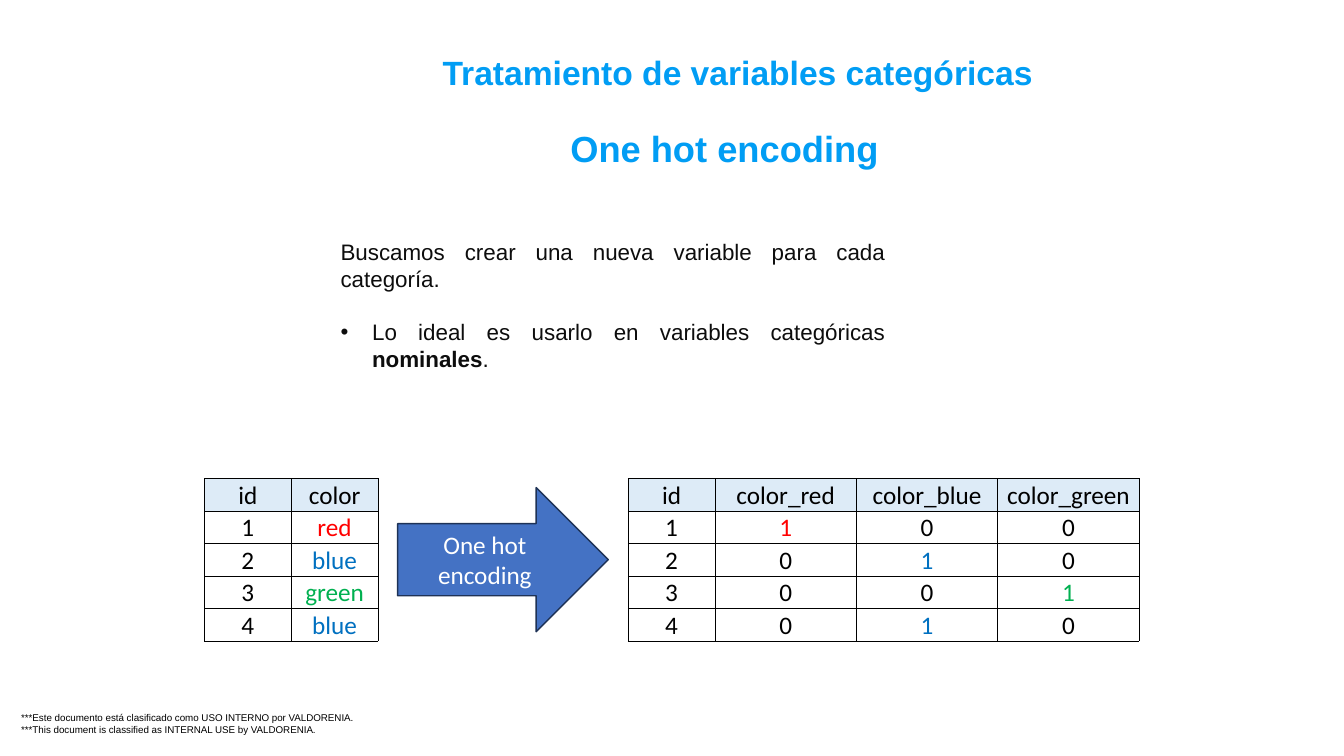
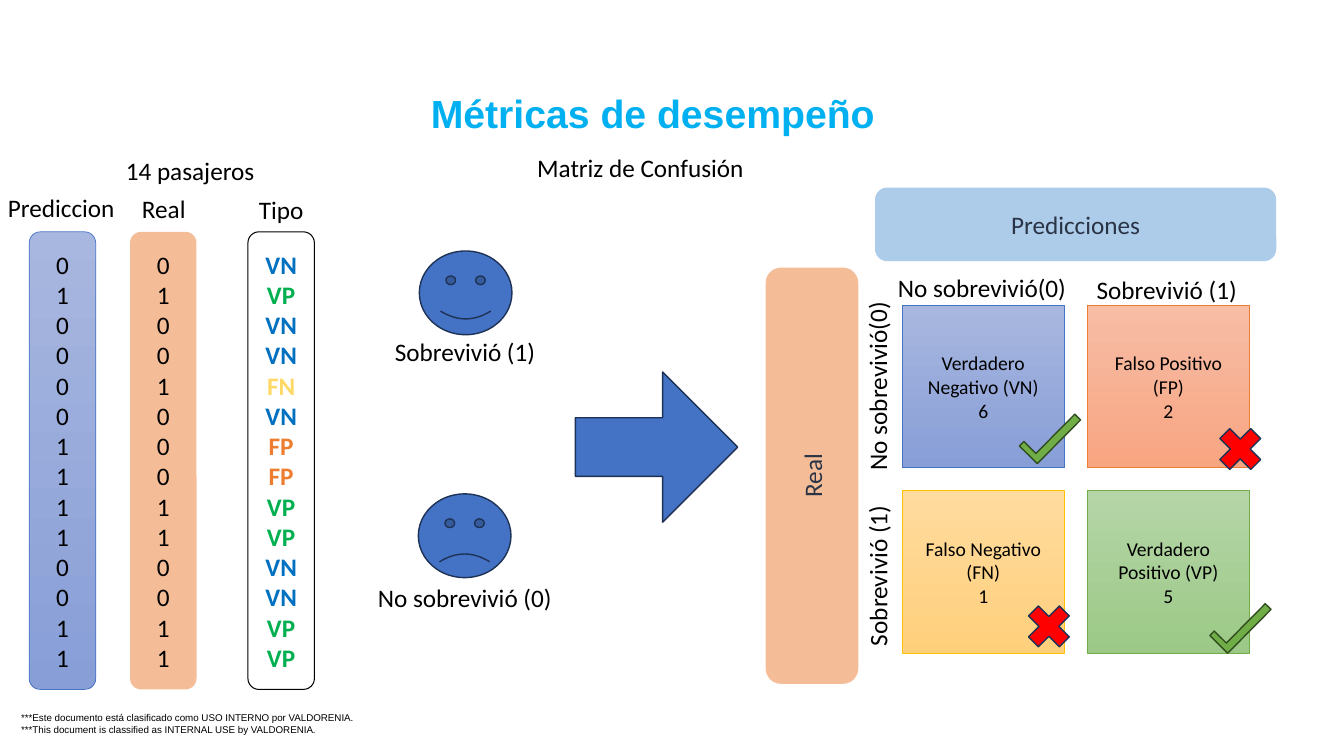
from dataclasses import dataclass

from lxml.etree import SubElement
from pptx import Presentation
from pptx.dml.color import RGBColor
from pptx.enum.shapes import MSO_SHAPE
from pptx.enum.text import MSO_ANCHOR, MSO_AUTO_SIZE, PP_ALIGN
from pptx.oxml.ns import qn
from pptx.util import Pt


@dataclass(frozen=True)
class Theme:
    heading_font: str = "Arial"
    body_font: str = "Calibri"
    footer_size: float = 7
    cell_size: float = 14
    text_size: float = 16
    body_size: float = 18
    title_size: float = 24
    subtitle_size: float = 25.9
    metrics_title_size: float = 28
    black: str = "000000"
    white: str = "FFFFFF"
    ink: str = "0D0D0D"
    band_ink: str = "2A3446"
    title: str = "019DF4"
    metrics_title: str = "00B0F0"
    header: str = "DDEBF7"
    accent: str = "4472C4"
    outline: str = "1E3256"
    light_blue: str = "5B9BD5"
    orange: str = "ED7D31"
    red: str = "FF0000"
    blue: str = "0070C0"
    green: str = "00B050"
    yellow: str = "FFD966"
    gold: str = "FFC000"
    leaf: str = "70AD47"
    leaf_outline: str = "314C1F"
    blue_fade: tuple = ("A8B7DF", "889ED7")
    green_fade: tuple = ("B5D5A7", "9CC987")
    yellow_fade: tuple = ("FFDB9E", "FFD07C")
    orange_fade: tuple = ("F7BDA5", "F8A582")


T = Theme()

FOOTER = ("***Este documento está clasificado como USO INTERNO por VALDORENIA.\n"
          "***This document is classified as INTERNAL USE by VALDORENIA.")

COLORS = {"red": T.red, "blue": T.blue, "green": T.green}
ITEMS = ["red", "blue", "green", "blue"]
INTRO = "Buscamos crear una nueva variable para cada categoría."
ADVICE = [("Lo ideal es usarlo en variables categóricas ", False),
          ("nominales", True), (".", False)]

PREDICTED = [0, 1, 0, 0, 0, 0, 1, 1, 1, 1, 0, 0, 1, 1]
ACTUAL = [0, 1, 0, 0, 1, 0, 0, 0, 1, 1, 0, 0, 1, 1]
OUTCOMES = {(0, 0): ("VN", T.blue), (1, 1): ("VP", T.green),
            (0, 1): ("FN", T.yellow), (1, 0): ("FP", T.orange)}

MATRIX = [
    (0, 0, "Verdadero Negativo (VN)\n6", T.blue_fade, T.accent),
    (1, 1, "Verdadero Positivo (VP)\n5", T.green_fade, T.leaf),
    (0, 1, "Falso Negativo (FN)\n1", T.yellow_fade, T.gold),
    (1, 0, "Falso Positivo (FP)\n2", T.orange_fade, T.orange),
]
MATRIX_LEFT, MATRIX_TOP, MATRIX_STEP, MATRIX_SIDE = 644.4, 218.2, 132.2, 116
BANDS = [("Predicciones", (625, 134, 286.6, 52.6), T.light_blue, 0),
         ("Real", (431.3, 306.7, 297.4, 66.2), T.orange, 270)]
CHECKS = [(728, 300.2), (864, 435.6)]
CHECK_OUTLINE = [(0, 0), (4.5, 0), (4.5, 12.2), (44, 12.2), (44, 18), (0, 18)]
CROSSES = [(728, 426.2), (864.7, 299.5)]

LABELS = [
    ("Matriz de Confusión", 376.6, 105, 163.4, 0),
    ("No sobrevivió(0)", 634.3, 190.8, 136, 0),
    ("Sobrevivió (1)", 776.2, 192.2, 116, 0),
    ("No sobrevivió(0)", 558.7, 260.6, 136, 270),
    ("Sobrevivió (1)", 568.8, 396, 116, 270),
    ("Sobrevivió (1)", 275, 236.9, 116, 0),
    ("No sobrevivió (0)", 262.8, 412.6, 140.4, 0),
    ("Prediccion", -1.4, 133.9, 91.4, 0),
    ("Real", 94.3, 134.6, 46, 0),
    ("14 pasajeros", 82.8, 107.3, 107.3, 0),
    ("Tipo", 177.8, 135.4, 46.8, 0),
]
FACES = [(299.5, 179.3, 0.05), (298.8, 352.8, -0.05)]


def rgb(value):
    return RGBColor.from_string(value)


def points(*lengths):
    return [Pt(length) for length in lengths]


def style(run, size, color, font=T.body_font, bold=False):
    run.font.name = font
    run.font.size = Pt(size)
    run.font.bold = bold
    run.font.color.rgb = rgb(color)


def write(frame, text, size, color, font=T.body_font, bold=False,
          align=PP_ALIGN.LEFT, anchor=MSO_ANCHOR.TOP):
    frame.text = text
    frame.vertical_anchor = anchor
    for paragraph in frame.paragraphs:
        paragraph.alignment = align
        for run in paragraph.runs:
            style(run, size, color, font, bold)


def write_centred(shape, text, size=T.body_size, color=T.black, bold=False):
    write(shape.text_frame, text, size, color, bold=bold,
          align=PP_ALIGN.CENTER, anchor=MSO_ANCHOR.MIDDLE)


def add_text(slide, box, text, size, color, wrap=True, **options):
    words = slide.shapes.add_textbox(*points(*box))
    words.text_frame.word_wrap = wrap
    write(words.text_frame, text, size, color, **options)
    return words


def paint(shape, fill=None, line=None, width=1, alpha=None):
    shape.shadow.inherit = False
    if fill is None:
        shape.fill.background()
    elif isinstance(fill, tuple):
        shape.fill.gradient()
        shape.fill.gradient_angle = 270
        for stop, color in zip(shape.fill.gradient_stops, fill):
            stop.color.rgb = rgb(color)
    else:
        shape.fill.solid()
        shape.fill.fore_color.rgb = rgb(fill)
    if alpha:
        solid = shape.element.xpath("./p:spPr/a:solidFill/a:srgbClr")[0]
        SubElement(solid, qn("a:alpha")).set("val", str(alpha * 1000))
    if line:
        shape.line.color.rgb = rgb(line)
        shape.line.width = Pt(width)
    else:
        shape.line.fill.background()


def add_shape(slide, kind, box, *adjust, **look):
    shape = slide.shapes.add_shape(kind, *points(*box))
    for index, value in enumerate(adjust):
        shape.adjustments[index] = value
    paint(shape, **look)
    return shape


def add_check(slide, left, top):
    corners = [points(*corner) for corner in CHECK_OUTLINE]
    builder = slide.shapes.build_freeform(*corners[0])
    builder.add_line_segments(corners[1:], close=True)
    check = builder.convert_to_shape(*points(left, top))
    check.rotation = 314.7
    paint(check, T.leaf, T.leaf_outline)


def add_borders(cell):
    properties = cell._tc.get_or_add_tcPr()
    for index, side in enumerate(("lnL", "lnR", "lnT", "lnB")):
        border = SubElement(properties, qn(f"a:{side}"), w=str(Pt(0.5)))
        solid = SubElement(border, qn("a:solidFill"))
        SubElement(solid, qn("a:srgbClr"), val=T.black)
        properties.insert(index, border)


def add_grid(slide, left, top, widths, rows):
    height = 23.2
    box = points(left, top, sum(widths), height * len(rows))
    table = slide.shapes.add_table(len(rows), len(widths), *box).table
    table.first_row = table.horz_banding = False
    for column, width in zip(table.columns, widths):
        column.width = Pt(width)
    for r, row in enumerate(rows):
        table.rows[r].height = Pt(height)
        for c, (text, color) in enumerate(row):
            cell = table.cell(r, c)
            cell.margin_left = cell.margin_right = cell.margin_top = Pt(0.6)
            cell.margin_bottom = 0
            if r == 0:
                cell.fill.solid()
                cell.fill.fore_color.rgb = rgb(T.header)
            else:
                cell.fill.background()
            add_borders(cell)
            write(cell.text_frame, text, T.body_size, color, align=PP_ALIGN.CENTER)
            cell.vertical_anchor = MSO_ANCHOR.BOTTOM


def add_titled_slide(deck, title, box, size, color, **options):
    slide = deck.slides.add_slide(deck.slide_layouts[5])
    heading = slide.shapes.title
    heading.left, heading.top, heading.width, heading.height = points(*box)
    heading.text_frame.auto_size = MSO_AUTO_SIZE.NONE
    write(heading.text_frame, title, size, color, font=T.heading_font, bold=True, **options)
    return slide


def add_master_footer(deck, slide):
    footer = add_text(slide, (15.1, 508.3, 240.5, 16.6), FOOTER, T.footer_size, T.black,
                      font=T.heading_font)
    frame = footer.text_frame
    frame.margin_left = frame.margin_right = frame.margin_top = frame.margin_bottom = 0
    footer.element.nvSpPr.cNvPr.set("id", "20")
    deck.slide_master.shapes.element.append(footer.element)


def add_advice(frame):
    advice = frame.add_paragraph()
    properties = advice._p.get_or_add_pPr()
    properties.set("marL", str(Pt(22.5)))
    properties.set("indent", str(-Pt(22.5)))
    SubElement(properties, qn("a:buFont"), typeface=T.heading_font)
    SubElement(properties, qn("a:buChar"), char="•")
    advice.alignment = PP_ALIGN.JUSTIFY
    advice.space_before = Pt(19)
    for text, bold in ADVICE:
        run = advice.add_run()
        run.text = text
        style(run, T.text_size, T.ink, T.heading_font, bold)


def build_encoding(deck):
    slide = add_titled_slide(deck, "Tratamiento de variables categóricas",
                             (308.9, 33.8, 540, 40.3), T.title_size, T.title)
    add_master_footer(deck, slide)
    add_text(slide, (400.3, 85.7, 251.3, 40.3), "One hot encoding", T.subtitle_size, T.title,
             font=T.heading_font, bold=True, anchor=MSO_ANCHOR.MIDDLE)
    body = add_text(slide, (236.2, 166.3, 403.2, 175), INTRO, T.text_size, T.ink,
                    font=T.heading_font, align=PP_ALIGN.JUSTIFY)
    add_advice(body.text_frame)

    source = [[("id", T.black), ("color", T.black)]]
    encoded = [[("id", T.black)] + [(f"color_{name}", T.black) for name in COLORS]]
    for number, item in enumerate(ITEMS, 1):
        key = (str(number), T.black)
        source.append([key, (item, COLORS[item])])
        encoded.append([key] + [("1", color) if name == item else ("0", T.black)
                                for name, color in COLORS.items()])
    add_grid(slide, 146, 341.8, [62] * 2, source)
    add_grid(slide, 448.7, 341.8, [62] + [101] * 3, encoded)
    arrow = add_shape(slide, MSO_SHAPE.RIGHT_ARROW, (284, 348.3, 150.5, 103),
                      fill=T.accent, line=T.outline)
    write_centred(arrow, "One hot encoding", color=T.white)


def build_metrics(deck):
    slide = add_titled_slide(deck, "Métricas de desempeño", (237.6, 60.5, 457.2, 40.3),
                             T.metrics_title_size, T.metrics_title,
                             align=PP_ALIGN.CENTER, anchor=MSO_ANCHOR.MIDDLE)
    for column, row, text, fade, line in MATRIX:
        box = (MATRIX_LEFT + column * MATRIX_STEP, MATRIX_TOP + row * MATRIX_STEP,
               MATRIX_SIDE, MATRIX_SIDE)
        cell = add_shape(slide, MSO_SHAPE.RECTANGLE, box, fill=fade, line=line, width=0.5)
        write_centred(cell, text, T.cell_size)
    for text, box, fill, rotation in BANDS:
        band = add_shape(slide, MSO_SHAPE.ROUNDED_RECTANGLE, box, fill=fill, alpha=50)
        band.rotation = rotation
        write_centred(band, text, color=T.band_ink)
    solid = dict(fill=T.accent, line=T.outline)
    add_shape(slide, MSO_SHAPE.RIGHT_ARROW, (411, 265.7, 116, 107.3), 0.39, 0.5, **solid)
    for left, top, smile in FACES:
        add_shape(slide, MSO_SHAPE.SMILEY_FACE, (left, top, 66.2, 59.8), smile, **solid)
    for text, left, top, width, rotation in LABELS:
        label = add_text(slide, (left, top, width, 29), text, T.body_size, T.black, wrap=False)
        label.rotation = rotation

    outcomes = [OUTCOMES[pair] for pair in zip(PREDICTED, ACTUAL)]
    types = [name for name, _ in outcomes]
    for left, values, look in [
            (20.9, PREDICTED, dict(fill=T.blue_fade, line=T.accent, width=0.5)),
            (92.9, ACTUAL, dict(fill=T.orange, alpha=50)),
            (177.1, types, dict(line=T.black, width=0.75))]:
        passengers = add_shape(slide, MSO_SHAPE.ROUNDED_RECTANGLE,
                               (left, 165.6, 47.5, 326.9), **look)
        write_centred(passengers, "\n".join(map(str, values)), bold=values is types)
    for paragraph, (_, color) in zip(passengers.text_frame.paragraphs, outcomes):
        paragraph.runs[0].font.color.rgb = rgb(color)
    for left, top in CHECKS:
        add_check(slide, left, top)
    for left, top in CROSSES:
        add_shape(slide, MSO_SHAPE.MATH_MULTIPLY, (left, top, 42.5, 42.5),
                  fill=T.red, line=T.outline)


deck = Presentation()
deck.slide_width, deck.slide_height = points(960, 540)
build_encoding(deck)
build_metrics(deck)
deck.save("out.pptx")
